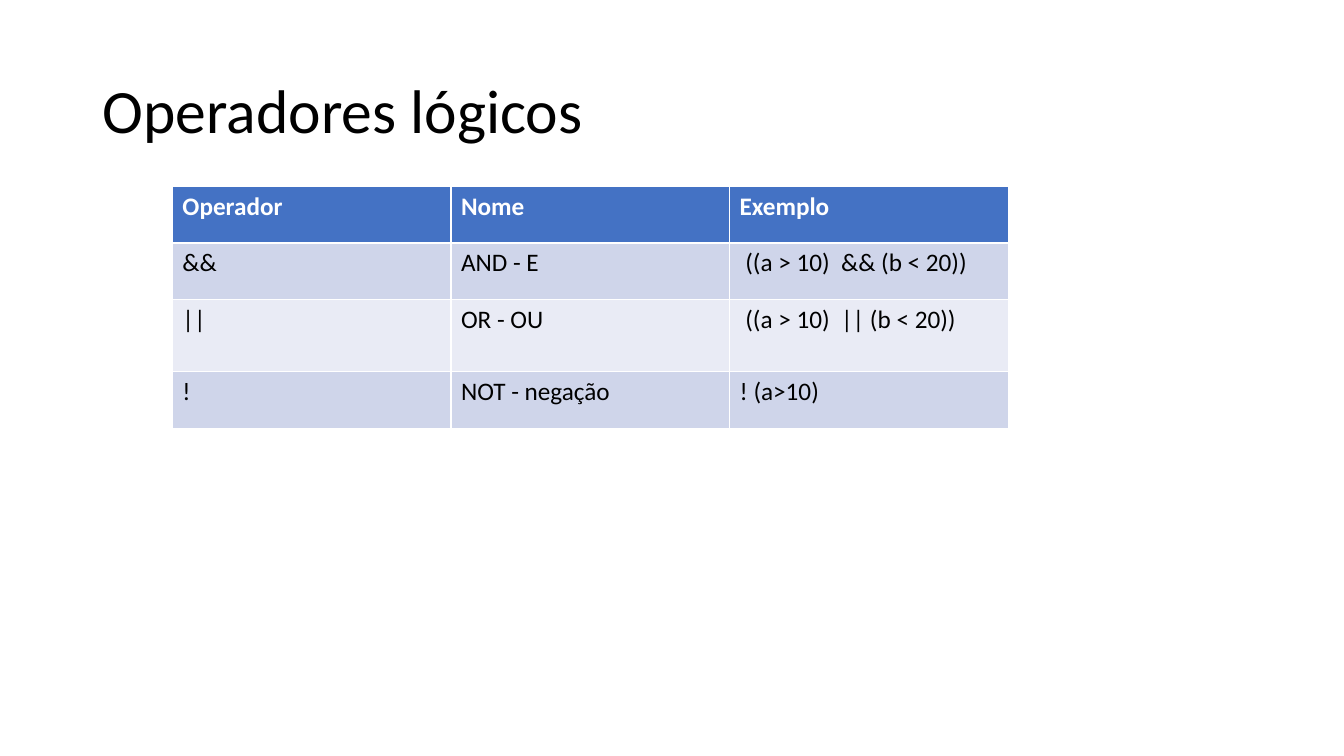
from pptx import Presentation
from pptx.dml.color import RGBColor
from pptx.enum.text import MSO_ANCHOR, MSO_AUTO_SIZE, PP_ALIGN
from pptx.util import Inches, Pt

WHITE = RGBColor(0xFF, 0xFF, 0xFF)
BLACK = RGBColor(0x00, 0x00, 0x00)
BLUE = RGBColor(0x44, 0x72, 0xC4)
BANDS = RGBColor(0xE9, 0xEB, 0xF5), RGBColor(0xCF, 0xD5, 0xEA)

WIDE, HIGH = Inches(13.33), Inches(7.5)
TITLE_BOX = Inches(0.92), Inches(0.4), Inches(11.5), Inches(1.45)
TABLE_BOX = Inches(1.71), Inches(1.85), Inches(8.29), Inches(2.4)
SHARES = 0.56, 0.56, 0.72, 0.56

ROWS = [
    ("Operador", "Nome", "Exemplo"),
    ("&&", "AND - E", " ((a > 10)  && (b < 20))"),
    ("||", "OR - OU", " ((a > 10)  || (b < 20))"),
    ("!", "NOT - negação", "! (a>10)"),
]

FRAME = {"vertical_anchor": MSO_ANCHOR.MIDDLE, "word_wrap": True,
         "auto_size": MSO_AUTO_SIZE.NONE}
LINE = {"alignment": PP_ALIGN.LEFT, "line_spacing": 0.9}
HEAD = {"name": "Calibri", "size": Pt(44), "bold": False}
CELL = {"name": "Calibri", "size": Pt(18)}


def style(item, form):
    """Set each attribute of the item from its format values."""
    for name, value in form.items():
        setattr(item, name, value)


def add_title(slide, box, text):
    """Fill the title placeholder and fit it to the box."""
    title = slide.shapes.title
    style(title, dict(zip(("left", "top", "width", "height"), box)))
    frame = title.text_frame
    frame.text = text
    style(frame, FRAME)
    line = frame.paragraphs[0]
    style(line, LINE)
    style(line.runs[0].font, HEAD)
    line.runs[0].font.color.rgb = BLACK


def add_grid(slide, box, rows, shares):
    """Draw a banded table in the box, with row heights by share."""
    table = slide.shapes.add_table(len(rows), len(rows[0]), *box).table
    for i, (row, share) in enumerate(zip(rows, shares)):
        table.rows[i].height = int(box[3] * share / sum(shares))
        for j, text in enumerate(row):
            cell = table.cell(i, j)
            cell.text = text
            cell.fill.solid()
            cell.fill.fore_color.rgb = BANDS[i % 2] if i else BLUE
            font = cell.text_frame.paragraphs[0].runs[0].font
            style(font, CELL | {"bold": i == 0})
            font.color.rgb = BLACK if i else WHITE


def main():
    """Build the slide and save it."""
    deck = Presentation()
    style(deck, {"slide_width": WIDE, "slide_height": HIGH})
    slide = deck.slides.add_slide(deck.slide_layouts.get_by_name("Title Only"))
    add_title(slide, TITLE_BOX, "Operadores lógicos")
    add_grid(slide, TABLE_BOX, ROWS, SHARES)
    deck.save("out.pptx")


if __name__ == "__main__":
    main()
